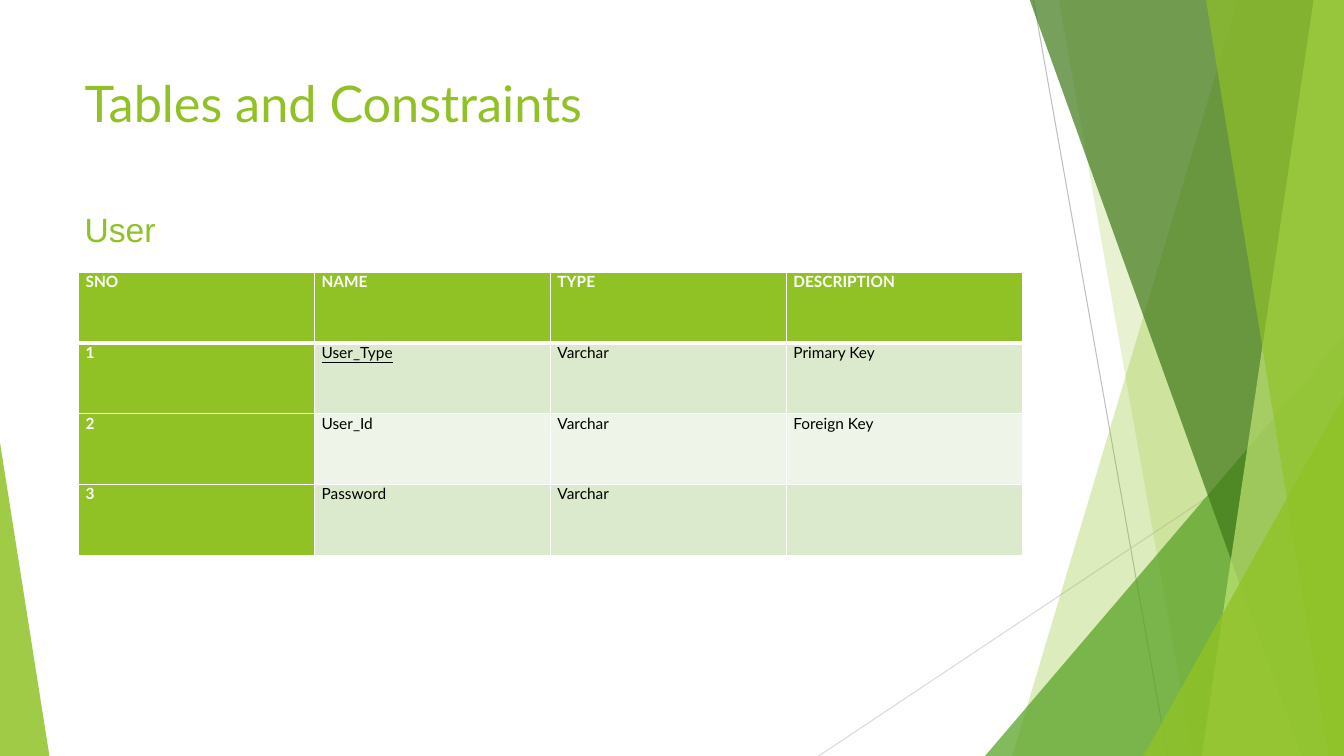
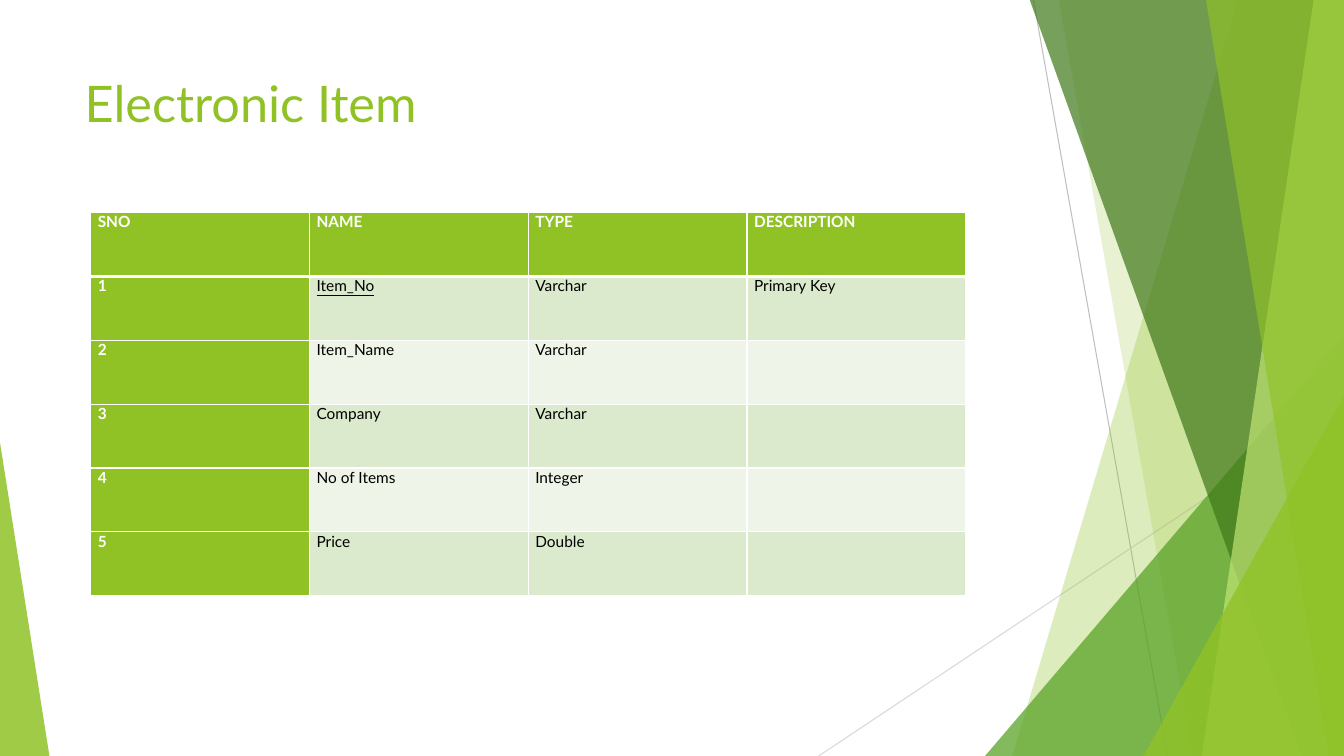
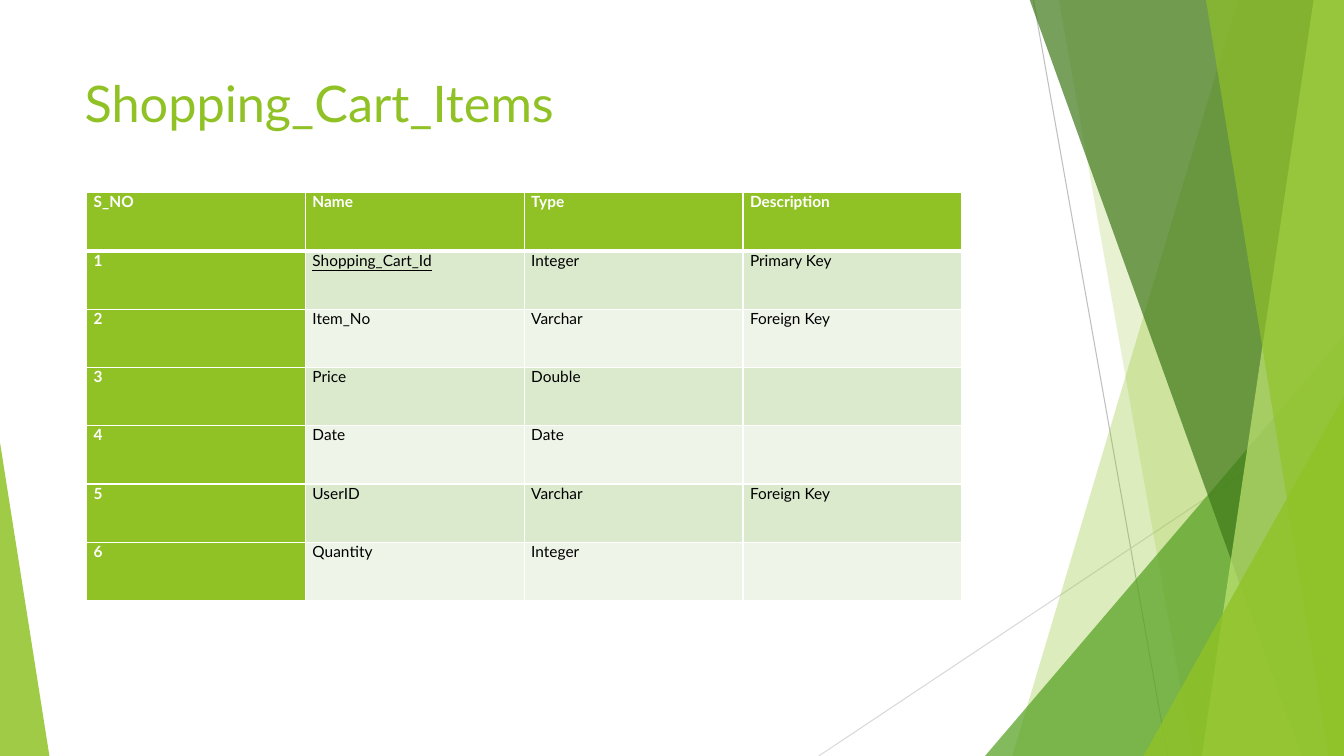
from dataclasses import dataclass

from pptx import Presentation
from pptx.dml.color import RGBColor
from pptx.enum.shapes import MSO_CONNECTOR as Connector, MSO_SHAPE as Shape
from pptx.enum.text import MSO_ANCHOR as Anchor, MSO_AUTO_SIZE as AutoSize, PP_ALIGN as Align
from pptx.oxml import parse_xml
from pptx.oxml.ns import nsdecls, qn
from pptx.util import Inches, Pt

WIDTH, HEIGHT = 13.33, 7.5
GREEN, WHITE, BLACK = "90C226", "FFFFFF", "000000"
BANDS = ("DBE9CD", "EEF4E8")
FONT = "Lato"


@dataclass
class Ray:
    start: tuple[float, float]
    end: tuple[float, float]
    color: str


@dataclass
class Band:
    """A translucent band that runs down to the right edge of the slide."""
    top: float
    bottom: float
    color: str
    alpha: int


@dataclass
class Corner:
    """A translucent right triangle that stands on the bottom edge."""
    left: float
    top: float
    width: float
    color: str
    alpha: int
    apex: int = 1


@dataclass
class TablePage:
    title: str
    left: float
    top: float
    width: float
    height: float
    rows: list[tuple[str, ...]]
    subtitle: str = ""


DECORATION = [
    Ray((10.25, 0), (11.58, HEIGHT), "BFBFBF"),
    Ray((WIDTH, 4.03), (8.12, HEIGHT), "D9D9D9"),
    Band(12.28, 10.04, GREEN, 30),
    Band(10.5, 11.83, GREEN, 20),
    Corner(9.77, 3.33, 3.56, "54A021", 72),
    Band(10.21, 12.91, "3F7819", 70),
    Band(13.03, 11.92, "C0E474", 70),
    Band(11.96, 13.18, GREEN, 65),
    Corner(11.34, 3.93, 1.99, GREEN, 80),
    Corner(0, 4.39, 0.49, GREEN, 85, apex=0),
]

PAGES = [
    TablePage("Tables and Constraints", 0.78, 2.7, 9.36, 2.81, [
        ("SNO", "NAME", "TYPE", "DESCRIPTION"),
        ("1", "User_Type", "Varchar", "Primary Key"),
        ("2", "User_Id", "Varchar", "Foreign Key"),
        ("3", "Password", "Varchar", ""),
    ], subtitle="User"),
    TablePage("Electronic Item", 0.9, 2.11, 8.68, 3.8, [
        ("SNO", "NAME", "TYPE", "DESCRIPTION"),
        ("1", "Item_No", "Varchar", "Primary Key"),
        ("2", "Item_Name", "Varchar", ""),
        ("3", "Company", "Varchar", ""),
        ("4", "No of Items", "Integer", ""),
        ("5", "Price", "Double", ""),
    ]),
    TablePage("Shopping_Cart_Items", 0.86, 1.91, 8.68, 4.05, [
        ("S_NO", "Name", "Type", "Description"),
        ("1", "Shopping_Cart_Id", "Integer", "Primary Key"),
        ("2", "Item_No", "Varchar", "Foreign Key"),
        ("3", "Price", "Double", ""),
        ("4", "Date", "Date", ""),
        ("5", "UserID", "Varchar", "Foreign Key"),
        ("6", "Quantity", "Integer", ""),
    ]),
]


def set_color(target, value: str) -> None:
    """Colour a font, fill or line format."""
    if hasattr(target, "solid"):
        target.solid()
        target.fore_color.rgb = RGBColor.from_string(value)
    else:
        target.color.rgb = RGBColor.from_string(value)


def style_font(font, size: float, color: str, name: str = FONT, bold: bool = False) -> None:
    font.name, font.size, font.bold = name, Pt(size), bold
    set_color(font, color)


# Shared decoration
def draw_ray(shapes, ray: Ray):
    line = shapes.add_connector(Connector.STRAIGHT, *map(Inches, ray.start + ray.end))
    set_color(line.line, ray.color)
    line.line.width = Pt(0.75)
    line.element.spPr.append(parse_xml(f"<a:effectLst {nsdecls('a')}/>"))
    return line


def draw_panel(shapes, panel: Band | Corner):
    if isinstance(panel, Band):
        top = -0.01
        builder = shapes.build_freeform(Inches(panel.top), Inches(top))
        outline = [(WIDTH, top), (WIDTH, HEIGHT), (panel.bottom, HEIGHT)]
        builder.add_line_segments([(Inches(x), Inches(y)) for x, y in outline], close=True)
        shape = builder.convert_to_shape()
    else:
        shape = shapes.add_shape(Shape.ISOSCELES_TRIANGLE, Inches(panel.left), Inches(panel.top),
                                 Inches(panel.width), Inches(HEIGHT - panel.top))
        shape.adjustments[0] = panel.apex
    shape.shadow.inherit = False
    shape.line.fill.background()
    set_color(shape.fill, panel.color)
    fill_color = shape.element.spPr.find(f"{qn('a:solidFill')}/{qn('a:srgbClr')}")
    fill_color.append(parse_xml(f'<a:alpha {nsdecls("a")} val="{panel.alpha * 1000}"/>'))
    return shape


def decorate_layout(layout, slide) -> None:
    """Draw the decoration with the slide's shape tools and move it behind the layout."""
    for index, part in enumerate(DECORATION):
        draw = draw_ray if isinstance(part, Ray) else draw_panel
        element = draw(slide.shapes, part).element
        element.xpath(".//p:cNvPr")[0].set("id", str(100 + index))
        layout.shapes.element.insert(2 + index, element)


# Slide content
def set_title(slide, text: str) -> None:
    title = slide.shapes.title
    title.left, title.top = Inches(0.74), Inches(0.67)
    title.width, title.height = Inches(9.4), Inches(1.44)
    frame = title.text_frame
    frame.text = text
    frame.auto_size = AutoSize.NONE
    frame.vertical_anchor = Anchor.TOP
    para = frame.paragraphs[0]
    para.alignment = Align.LEFT
    style_font(para.font, 36, GREEN)


def add_subtitle(slide, text: str) -> None:
    box = slide.shapes.add_textbox(Inches(0.74), Inches(2), Inches(6.3), Inches(0.81))
    frame = box.text_frame
    frame.word_wrap = True
    frame.margin_top = Inches(0.07)
    frame.text = text
    style_font(frame.paragraphs[0].font, 24, GREEN, "Arial")


def set_borders(cell, top: float, bottom: float) -> None:
    properties = cell._tc.get_or_add_tcPr()
    for index, (side, width) in enumerate(dict(L=1, R=1, T=top, B=bottom).items()):
        properties.insert(index, parse_xml(
            f'<a:ln{side} {nsdecls("a")} w="{Pt(width)}"><a:solidFill>'
            f'<a:srgbClr val="{WHITE}"/></a:solidFill></a:ln{side}>'))


def add_table(slide, page: TablePage) -> None:
    row_count, column_count = len(page.rows), len(page.rows[0])
    table = slide.shapes.add_table(row_count, column_count, Inches(page.left), Inches(page.top),
                                   Inches(page.width), Inches(page.height)).table
    table.first_col = True
    table.horz_banding = False
    for row, values in enumerate(page.rows):
        for column, text in enumerate(values):
            cell = table.cell(row, column)
            heading = row == 0 or column == 0
            set_color(cell.fill, GREEN if heading else BANDS[(row - 1) % 2])
            set_borders(cell, top=3 if row == 1 else 1, bottom=3 if row == 0 else 1)
            cell.margin_left = cell.margin_right = Inches(0.07)
            cell.margin_top = cell.margin_bottom = 0
            cell.text = text
            font = cell.text_frame.paragraphs[0].font
            style_font(font, 11, WHITE if heading else BLACK, bold=heading)
            # The key field comes first in every table
            if (row, column) == (1, 1):
                font.underline = True


def main() -> None:
    deck = Presentation()
    deck.slide_width, deck.slide_height = Inches(WIDTH), Inches(HEIGHT)
    layout = deck.slide_layouts.get_by_name("Title Only")
    for page in PAGES:
        slide = deck.slides.add_slide(layout)
        if page is PAGES[0]:
            decorate_layout(layout, slide)
        set_title(slide, page.title)
        add_table(slide, page)
        if page.subtitle:
            add_subtitle(slide, page.subtitle)
    deck.save("out.pptx")


if __name__ == "__main__":
    main()
